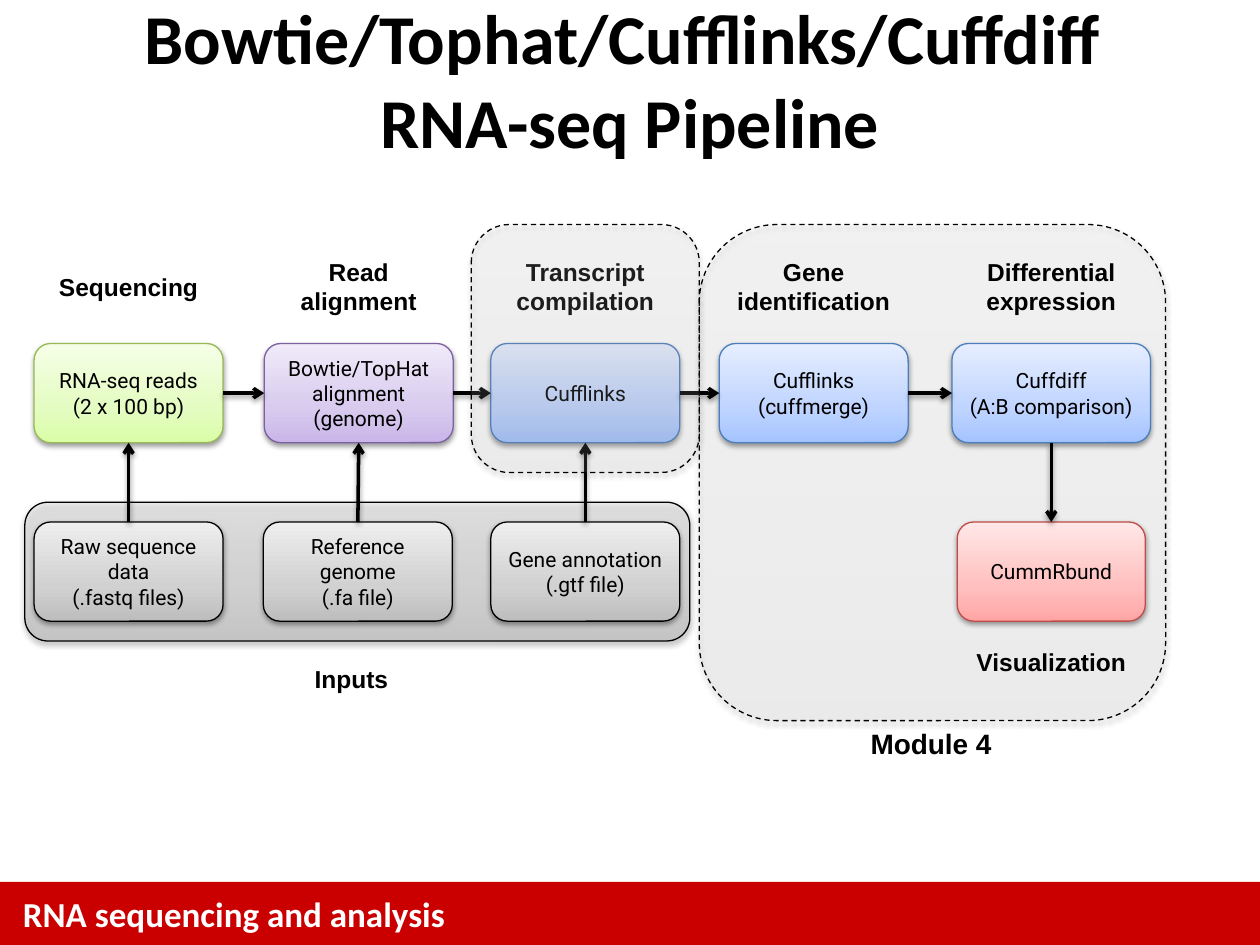
from lxml import etree
from pptx import Presentation
from pptx.dml.color import RGBColor
from pptx.enum.dml import MSO_LINE
from pptx.enum.shapes import MSO_CONNECTOR, MSO_SHAPE
from pptx.enum.text import MSO_ANCHOR, PP_ALIGN
from pptx.oxml import parse_xml
from pptx.oxml.ns import nsdecls, qn
from pptx.util import Pt

RECT, ROUND = MSO_SHAPE.RECTANGLE, MSO_SHAPE.ROUNDED_RECTANGLE
STRAIGHT, DASH = MSO_CONNECTOR.STRAIGHT, MSO_LINE.DASH
LEFT, CENTER = PP_ALIGN.LEFT, PP_ALIGN.CENTER
TOP_ANCHOR, MIDDLE = MSO_ANCHOR.TOP, MSO_ANCHOR.MIDDLE
TOP_SIDE, LEFT_SIDE, BOTTOM_SIDE, RIGHT_SIDE = range(4)

COLORS = {"black": "000000", "white": "FFFFFF", "footer": "CA0000"}
THEMES = {
    "grey": (("BDBDBD", "D1D1D1", "EEEEEE"), "000000"),
    "green": (("DAFDA7", "E4FCC2", "F5FFE7"), "98B955"),
    "purple": (("C9B5E8", "D8CBEE", "F0EAF9"), "7D60A0"),
    "blue": (("A4C4FF", "BFD4FF", "E6EEFF"), "4B7EBC"),
    "red": (("FFA6A5", "FFC0BF", "FFE7E7"), "BF4C48"),
}
BOX_W, BOX_H = 108, 56.7
STAGES = [
    (19.5, 108, "green", "RNA-seq reads (2 x 100 bp)", "Sequencing", 98, 152),
    (151, 108, "purple", "Bowtie/TopHat alignment (genome)", "Read alignment", 98, 143.3),
    (280.5, 108, "blue", "Cufflinks", "Transcript compilation", 130, 143.3),
    (411, 108, "blue", "Cufflinks (cuffmerge)", "Gene identification", 130, 143.3),
    (544, 113.5, "blue", "Cuffdiff\n(A:B comparison)", "Differential expression", 130, 143.3),
]
INPUTS = [
    (19.5, "Raw sequence data\n(.fastq files)"),
    (150.5, "Reference genome\n(.fa file)"),
    (280.5, "Gene annotation\n(.gtf file)"),
]


def rgb(name):
    return RGBColor.from_string(COLORS.get(name, name))


def add_shadow(effects):
    effects.append(parse_xml(
        f'<a:outerShdw {nsdecls("a")} blurRad="39370" dist="20320" dir="5400000" '
        'rotWithShape="0"><a:srgbClr val="000000"><a:alpha val="38000"/>'
        '</a:srgbClr></a:outerShdw>'))


def set_font(font, name, size, bold=False, color="black"):
    font.name, font.size, font.bold = name, Pt(size), bold
    font.color.rgb = rgb(color)


def add_text(s, box, text, size, name="Arial", align=CENTER, anchor=TOP_ANCHOR,
             color="black", wrap=True):
    sp = s.shapes.add_textbox(*map(Pt, box))
    tf = sp.text_frame
    tf.word_wrap, tf.vertical_anchor = wrap, anchor
    p = tf.paragraphs[0]
    p.text, p.alignment = text, align
    set_font(p.font, name, size, True, color)


def add_panel(s, box, theme, opacity=100, dashed=False):
    sp = s.shapes.add_shape(ROUND, *map(Pt, box))
    stops, line = THEMES[theme]
    sp.fill.gradient()
    grad = sp._element.spPr.find(qn("a:gradFill"))
    gs = "".join(
        f'<a:gs pos="{pos}000"><a:srgbClr val="{stop}">'
        f'<a:alpha val="{opacity}000"/></a:srgbClr></a:gs>'
        for pos, stop in zip((0, 35, 100), stops))
    grad.getparent().replace(grad, parse_xml(
        f'<a:gradFill {nsdecls("a")} rotWithShape="1"><a:gsLst>{gs}</a:gsLst>'
        '<a:lin ang="16200000" scaled="0"/></a:gradFill>'))
    sp.line.color.rgb = rgb(line)
    sp.line.width = Pt(0.75)
    if dashed:
        sp.line.dash_style = DASH
    sp.shadow.inherit = False
    add_shadow(sp._element.spPr.find(qn("a:effectLst")))
    return sp


def add_step(s, box, theme, text):
    sp = add_panel(s, box, theme)
    tf = sp.text_frame
    tf.word_wrap, tf.vertical_anchor = True, MIDDLE
    tf.text = text
    for p in tf.paragraphs:
        p.alignment = CENTER
        set_font(p.font, "Roboto", 12)
    return sp


def add_arrow(s, start, start_side, end, end_side):
    cxn = s.shapes.add_connector(STRAIGHT, 0, 0, 0, 0)
    cxn.begin_connect(start, start_side)
    cxn.end_connect(end, end_side)
    cxn.line.color.rgb = rgb("black")
    cxn.line.width = Pt(2)
    etree.SubElement(cxn.line._get_or_add_ln(), qn("a:tailEnd"), type="arrow")
    add_shadow(etree.SubElement(cxn._element.spPr, qn("a:effectLst")))


def add_footer(s, box):
    x, y, w, h = box
    bar = s.shapes.add_shape(RECT, *map(Pt, box))
    bar.fill.solid()
    bar.fill.fore_color.rgb = rgb("footer")
    bar.line.fill.background()
    bar.shadow.inherit = False
    add_text(s, (x + 6, y + 2.4, 528, 31), "RNA sequencing and analysis", 20,
             "Calibri", LEFT, color="white")


def add_module(s, box):
    x, y, w, h = box
    add_panel(s, box, "grey", 13, True)
    add_text(s, (x + 90.8, y + h, 84.5, 26.6), "Module 4", 16, align=LEFT, wrap=False)


def add_stages(s, top):
    steps = []
    for x, w, theme, text, label, label_w, label_y in STAGES:
        steps.append(add_step(s, (x, top, w, BOX_H), theme, text))
        add_text(s, (x + (w - label_w) / 2, label_y, label_w, 41), label, 14)
    for start, end in zip(steps, steps[1:]):
        add_arrow(s, start, RIGHT_SIDE, end, LEFT_SIDE)
    return steps


def add_visualization(s, box, source):
    x, y, w, h = box
    sp = add_step(s, box, "red", "CummRbund")
    add_text(s, (x + (w - 130) / 2, y + h + 11.3, 130, 24.2), "Visualization", 14)
    add_arrow(s, source, BOTTOM_SIDE, sp, TOP_SIDE)


def add_inputs(s, box, stages):
    x, y, w, h = box
    for (left, text), stage in zip(INPUTS, stages):
        sp = add_step(s, (left, y + 11.3, BOX_W, BOX_H), "grey", text)
        add_arrow(s, sp, TOP_SIDE, stage, BOTTOM_SIDE)
    add_text(s, (x + 158.5, y + h + 9.6, 57, 24.2), "Inputs", 14, align=LEFT, wrap=False)


def main():
    prs = Presentation()
    prs.slide_width, prs.slide_height = Pt(720), Pt(540)
    s = prs.slides.add_slide(prs.slide_layouts[6])
    inputs_box = (14.2, 287, 380, 79.3)
    add_footer(s, (0, 504, 720, 36))
    add_module(s, (399.6, 128.3, 266.5, 283.5))
    add_panel(s, inputs_box, "grey", 51)
    add_text(s, (12, 0, 696, 90), "Bowtie/Tophat/Cufflinks/Cuffdiff \vRNA-seq Pipeline",
             40, "Calibri", anchor=MIDDLE)
    stages = add_stages(s, 196.3)
    add_visualization(s, (547, 298.3, 107.5, BOX_H), stages[-1])
    add_inputs(s, inputs_box, stages)
    add_panel(s, (269.3, 128.3, 130.3, 141.7), "grey", 13, True)
    prs.save("out.pptx")


if __name__ == "__main__":
    main()
